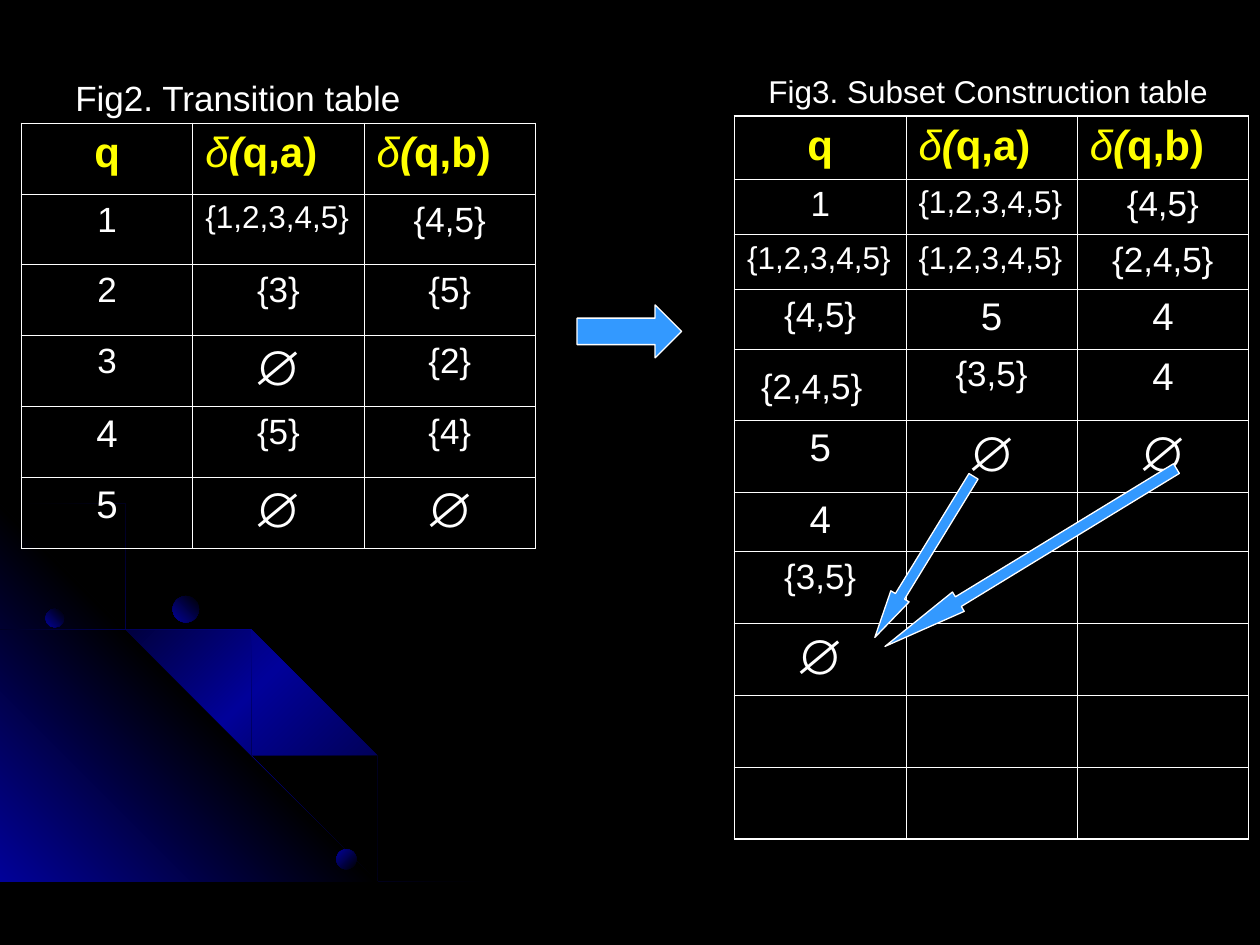
from lxml.etree import SubElement as Sub
from pptx import Presentation
from pptx.dml.color import RGBColor
from pptx.enum.shapes import MSO_SHAPE as Kind
from pptx.enum.text import PP_ALIGN as Align
from pptx.oxml.ns import qn
from pptx.util import Inches, Pt

WHITE, YELLOW, SKY = "FFFFFF", "FFFF00", "3399FF"
BLACK, NAVY = "000000", "010199"
SIZES = {"4": 22, "5": 22, "∅": 28, "{1,2,3,4,5}": 18}
COL = 1.36


def color(hexa):
    return RGBColor.from_string(hexa)


def style(run, size, tint=WHITE, bold=False, slant=False):
    font = run.font
    font.name, font.size = "Arial", Pt(size)
    font.bold, font.italic = bold, slant
    font.color.rgb = color(tint)


def blend(shape, stops, angle):
    """Linear gradient with evenly spaced stops, no outline or shadow."""
    shape.shadow.inherit = False
    shape.line.fill.background()
    shape.fill.gradient()
    grad = shape._element.spPr.find(qn("a:gradFill"))
    for child in list(grad):
        grad.remove(child)
    group = Sub(grad, qn("a:gsLst"))
    for i, tint in enumerate(stops):
        stop = Sub(group, qn("a:gs"), pos=str(100000 * i // (len(stops) - 1)))
        Sub(stop, qn("a:srgbClr"), val=tint)
    Sub(grad, qn("a:lin"), ang=str(angle * 60000), scaled="0")


def outline(slide, points):
    path = slide.shapes.build_freeform(*points[0], scale=Inches(1))
    path.add_line_segments(points[1:], close=True)
    return path.convert_to_shape()


# Decor in the lower left corner
ARCS = [
    [(0, 4.35), (0.28, 4.41), (0.57, 4.47), (0.98, 4.59), (1.36, 4.77),
     (1.74, 4.97), (2.09, 5.21), (2.42, 5.48), (2.72, 5.78), (3, 6.11),
     (3.25, 6.48), (3.39, 6.73), (3.52, 6.98), (3.62, 7.23), (3.72, 7.49)],
    [(0, 4.75), (0.41, 4.88), (0.79, 5.05), (1.17, 5.26), (1.52, 5.49),
     (1.84, 5.76), (2.15, 6.06), (2.42, 6.4), (2.66, 6.76), (2.86, 7.12),
     (2.96, 7.3), (3.03, 7.49)],
    [(0, 4.42), (0.39, 4.55), (0.76, 4.73), (1.11, 4.93), (1.44, 5.16),
     (1.75, 5.43), (2.04, 5.73), (2.29, 6.03), (2.54, 6.39), (2.69, 6.65),
     (2.82, 6.93), (2.94, 7.2), (3.03, 7.49)],
]
BALLS = [(0.36, 4.83, 0.15, 135), (2.67, 6.74, 0.16, 225),
         (1.37, 4.73, 0.21, 135)]


def add_arc(slide, outer, gap=0.02):
    inner = [(max(x - gap, 0), min(y + gap, 7.49)) for x, y in outer]
    blend(outline(slide, outer + inner[::-1]), [BLACK, NAVY, BLACK], 225)


def add_decor(slide):
    add_arc(slide, ARCS[0])
    glow = outline(slide, [(3.22, 7.49), (0, 7.49), (0, 4.27)])
    blend(glow, [NAVY, BLACK, NAVY], 135)
    for arc in ARCS[1:]:
        add_arc(slide, arc)
    for x, y, size, angle in BALLS:
        ball = slide.shapes.add_shape(
            Kind.OVAL, Inches(x), Inches(y), Inches(size), Inches(size))
        blend(ball, [BLACK, NAVY], angle)


def add_title(slide, text, box, size):
    frame = slide.shapes.add_textbox(*map(Inches, box)).text_frame
    frame.word_wrap = False
    frame.text = text
    style(frame.paragraphs[0].runs[0], size)


# Tables
def edge(cell, sides):
    """Draw the borders; sides maps a border tag to a width in points."""
    props = cell._tc.get_or_add_tcPr()
    for tag, width in sides.items():
        line = Sub(props, qn("a:" + tag), w=str(Pt(width)))
        fill = Sub(line, qn("a:solidFill"))
        Sub(fill, qn("a:srgbClr"), val=WHITE)


def fill_head(cell, text):
    para = cell.text_frame.paragraphs[0]
    if text == "q":
        para.alignment = Align.CENTER
        parts = [(text, True, False)]
    else:
        parts = [("δ", False, True), ("(", True, True), (text, True, False)]
    for part, bold, slant in parts:
        run = para.add_run()
        run.text = part
        style(run, 24, YELLOW, bold, slant)


def fill_cell(cell, text):
    para = cell.text_frame.paragraphs[0]
    para.text = text
    if text != "{1,2,3,4,5}":
        para.alignment = Align.CENTER
    style(para.runs[0], SIZES.get(text, 20))


def add_grid(slide, left, top, heights, rows):
    rows = [["q", "q,a)", "q,b)"]] + rows
    count = len(rows)
    grid = slide.shapes.add_table(
        count, 3, Inches(left), Inches(top),
        Inches(3 * COL), Inches(sum(heights))).table
    grid.first_row = grid.horz_banding = False
    for col in grid.columns:
        col.width = Inches(COL)
    for r, (height, row) in enumerate(zip(heights, rows)):
        grid.rows[r].height = Inches(height)
        for c, text in enumerate(row):
            cell = grid.cell(r, c)
            outer = {"lnL": c == 0, "lnR": c == 2,
                     "lnT": r == 0, "lnB": r == count - 1}
            edge(cell, {k: 1.08 if v else 0.45 for k, v in outer.items()})
            cell.fill.background()
            if r == 0:
                fill_head(cell, text)
            elif text:
                fill_cell(cell, text)
    return grid


def add_arrow(slide, kind, box, adjust, turn=0):
    arrow = slide.shapes.add_shape(kind, *map(Inches, box))
    arrow.adjustments[0], arrow.adjustments[1] = 0.5, adjust
    arrow.rotation = turn
    arrow.shadow.inherit = False
    arrow.fill.solid()
    arrow.fill.fore_color.rgb = color(SKY)
    arrow.line.color.rgb = color(WHITE)
    arrow.line.width = Pt(0.75)


MOVES = [
    ["1", "{1,2,3,4,5}", "{4,5}"],
    ["2", "{3}", "{5}"],
    ["3", "∅", "{2}"],
    ["4", "{5}", "{4}"],
    ["5", "∅", "∅"],
]
SUBSETS = [
    ["1", "{1,2,3,4,5}", "{4,5}"],
    ["{1,2,3,4,5}", "{1,2,3,4,5}", "{2,4,5}"],
    ["{4,5}", "5", "4"],
    ["{2,4,5}", "{3,5}", "4"],
    ["5", "∅", "∅"],
    ["4", "", ""],
    ["{3,5}", "", ""],
    ["∅", "", ""],
    ["", "", ""],
    ["", "", ""],
]


def add_moves(slide, left, top):
    add_title(slide, "Fig2. Transition table",
              (left + 0.33, top - 0.42, 3.5, 0.42), 20)
    add_grid(slide, left, top, [0.56] * 6, MOVES)


def add_subsets(slide, left, top):
    heights = [0.5, 0.44, 0.44, 0.47, 0.57, 0.57, 0.47] + [0.57] * 4
    grid = add_grid(slide, left, top, heights, SUBSETS)
    # This entry sits lower and to the left in its cell
    low = grid.cell(4, 0)
    low.margin_left, low.margin_top = Inches(0.21), Inches(0.15)
    low.text_frame.paragraphs[0].alignment = Align.LEFT
    add_title(slide, "Fig3. Subset Construction table",
              (left + 0.17, top - 0.4, 3.69, 0.4), 18)
    # Arrows from the two empty sets to their new row
    add_arrow(slide, Kind.DOWN_ARROW,
              (left + 1.42, top + 2.75, 0.17, 1.5), 2.25, 31.5)
    add_arrow(slide, Kind.DOWN_ARROW,
              (left + 2.26, top + 2.15, 0.18, 2.71), 3.79, 58.6)


def main():
    deck = Presentation()
    deck.slide_width, deck.slide_height = Inches(10), Inches(7.5)
    slide = deck.slides.add_slide(deck.slide_layouts[6])
    back = slide.background.fill
    back.solid()
    back.fore_color.rgb = color(BLACK)
    add_decor(slide)
    add_moves(slide, 0.17, 0.98)
    add_arrow(slide, Kind.RIGHT_ARROW, (4.58, 2.42, 0.83, 0.42), 0.5)
    add_subsets(slide, 5.83, 0.92)
    deck.save("out.pptx")


if __name__ == "__main__":
    main()
